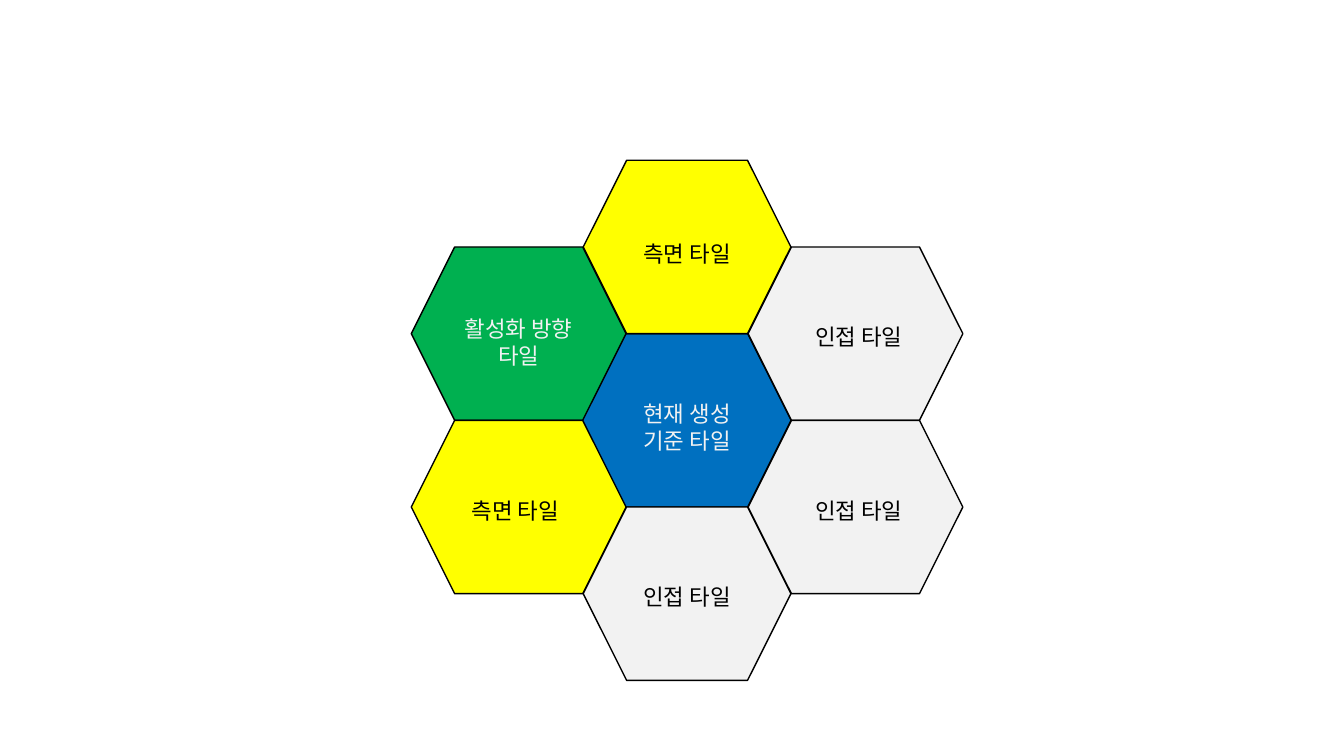
import lxml.etree
import pptx
import pptx.dml.color
import pptx.enum.shapes
import pptx.enum.text
import pptx.oxml.ns
import pptx.util

BLUE, GREEN, YELLOW, GRAY, BLACK = "0070C0", "00B050", "FFFF00", "F2F2F2", "000000"


def color(hex_value):
    return pptx.dml.color.RGBColor.from_string(hex_value)


class TilePage:
    """Style and drawing methods for a honeycomb of tiles."""

    font_name = "Noto Sans CJK KR"
    font_format = {"name": font_name, "size": pptx.util.Pt(16)}
    frame_format = {
        "word_wrap": True,
        "auto_size": pptx.enum.text.MSO_AUTO_SIZE.SHAPE_TO_FIT_TEXT,
    }
    # Centre of the upper left cell, then the step between cells, in inches
    origin_x, origin_y = 5.145, 2.45
    column, row = 1.67, 0.86

    def __init__(self, deck):
        page = deck.slides.add_slide(deck.slide_layouts[6])
        self.shapes = page.shapes.add_group_shape().shapes

    def frame(self, column, row, width, height):
        """Turn a cell centre and a size into left, top, width, height."""
        left = self.origin_x + column * self.column - width / 2
        top = self.origin_y + row * self.row - height / 2
        return [pptx.util.Inches(value) for value in (left, top, width, height)]

    def tile(self, column, row, width, fill):
        hexagon = self.shapes.add_shape(
            pptx.enum.shapes.MSO_SHAPE.HEXAGON,
            *self.frame(column, row, width, 2 * self.row),
        )
        hexagon.shadow.inherit = False
        hexagon.fill.solid()
        hexagon.fill.fore_color.rgb = color(fill)
        hexagon.line.color.rgb = color(BLACK)
        hexagon.line.width = pptx.util.Pt(1)

    def label(self, column, row, width, lines, text_color, height=0.37, fill=None):
        box = self.shapes.add_textbox(*self.frame(column, row, width, height))
        if fill:
            box.fill.solid()
            box.fill.fore_color.rgb = color(fill)
        for name, value in self.frame_format.items():
            setattr(box.text_frame, name, value)
        box.text_frame.text = "\n".join(lines)
        for para in box.text_frame.paragraphs:
            para.alignment = pptx.enum.text.PP_ALIGN.CENTER
            for span in para.runs:
                for name, value in self.font_format.items():
                    setattr(span.font, name, value)
                span.font.color.rgb = color(text_color)
                # Korean glyphs take the East Asian typeface
                lxml.etree.SubElement(
                    span.font._element, pptx.oxml.ns.qn("a:ea"), typeface=self.font_name
                )


def main():
    deck = pptx.Presentation()
    deck.slide_width = pptx.util.Inches(13.33)
    deck.slide_height = pptx.util.Inches(7.5)
    page = TilePage(deck)

    # Tiles: column, row, width, fill
    wide, narrow = 2.13, 2.06
    for tile in [
        (0.98, 2, wide, BLUE),
        (0, 1, wide, GREEN),
        (0, 3, wide, YELLOW),
        (1, 4, narrow, GRAY),
        (2, 1, wide, GRAY),
        (2, 3, wide, GRAY),
        (1, 0, narrow, YELLOW),
    ]:
        page.tile(*tile)

    # Labels sit slightly below the tile centres
    side, adjacent = ["측면 타일"], ["인접 타일"]
    page.label(1, 0.08, 1.2, side, BLACK, fill=YELLOW)
    page.label(0, 1.1, 1.47, ["활성화 방향 타일"], GRAY, height=0.64)
    page.label(-0.02, 3.04, 1.2, side, BLACK)
    for column, row in [(1, 4.04), (2.02, 3.04), (2.02, 1.04)]:
        page.label(column, row, 1.2, adjacent, BLACK)
    page.label(1, 2.08, 1.87, ["현재 생성", "기준 타일"], GRAY, height=0.64)

    deck.save("out.pptx")


if __name__ == "__main__":
    main()
